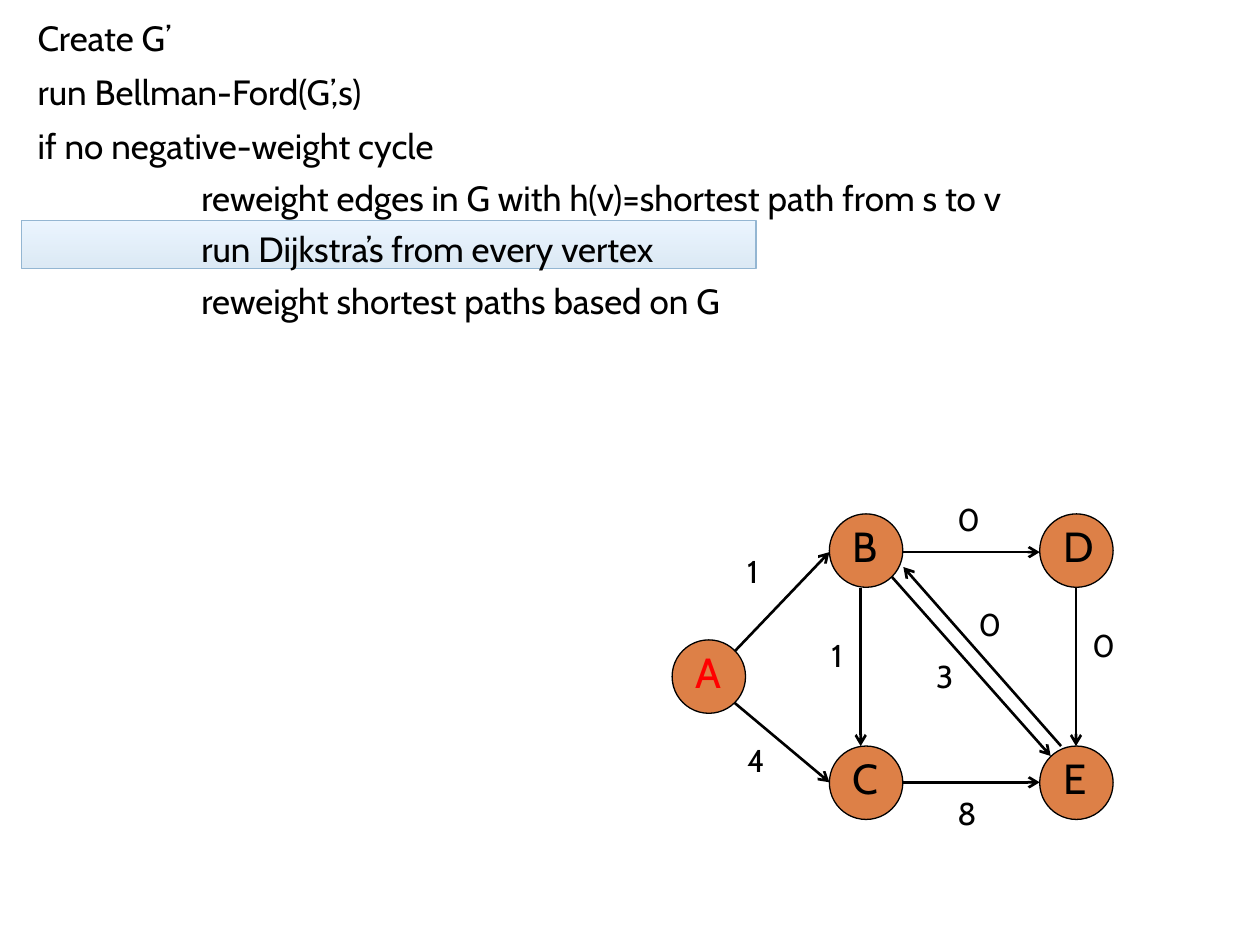
from lxml import etree
from pptx import Presentation
from pptx import util as u
from pptx.dml.color import RGBColor
from pptx.enum import shapes, text
from pptx.oxml import ns

BLACK = RGBColor(0x00, 0x00, 0x00)
RED = RGBColor(0xFF, 0x00, 0x00)
ORANGE = RGBColor(0xDD, 0x80, 0x47)
BLUE = RGBColor(0x8B, 0xB7, 0xDB)
PALE_BLUE = RGBColor(0xBD, 0xDF, 0xFF)
BORDER_BLUE = RGBColor(0x94, 0xB6, 0xD2)

FONT = "Cabin"
NODE_SIZE = 1.48
LEFT, MIDDLE, RIGHT = 0, 3.17, 7.41
UPPER, CENTRE, LOWER = 0.4, 2.94, 5.08
UPPER_AXIS, LOWER_AXIS = 1.17, 5.81

NODES = [
    ("A", LEFT, CENTRE, RED),
    ("B", MIDDLE, UPPER, BLACK),
    ("C", MIDDLE, LOWER, BLACK),
    ("E", RIGHT, LOWER, BLACK),
    ("D", RIGHT, UPPER, BLACK),
]
EDGES = [
    (1.26, 3.17, MIDDLE, UPPER_AXIS, "1", 1.26, 1.04),
    (1.26, 4.21, MIDDLE, LOWER_AXIS, "4", 1.26, 4.85),
    (4.66, UPPER_AXIS, RIGHT, UPPER_AXIS, "0", 5.5, 0),
    (8.14, 1.9, 8.14, LOWER, "0", 8.22, 2.54),
    (7.84, LOWER, 4.66, 1.47, "0", 5.93, 2.11),
    (4.43, 1.67, 7.63, 5.28, "3", 5.07, 3.17),
    (4.66, LOWER_AXIS, RIGHT, LOWER_AXIS, "8", 5.5, 5.92),
    (3.8, 1.9, 3.8, LOWER, "1", 2.96, 2.74),
]
STEPS = [
    ("Create G’", 0),
    ("run Bellman-Ford(G’,s)", 0),
    ("if no negative-weight cycle", 0),
    ("reweight edges in G with h(v)=shortest path from s to v", 1),
    ("run Dijkstra’s from every vertex", 1),
    ("reweight shortest paths based on G", 1),
]


def add_span(para, wording, size=18, color=BLACK):
    span = para.add_run()
    span.text = wording
    span.font.name = FONT
    span.font.size = u.Pt(size)
    span.font.color.rgb = color


def add_text(parent, left, top, width, height, wrap=True):
    box = parent.add_textbox(u.Cm(left), u.Cm(top), u.Cm(width), u.Cm(height))
    box.text_frame.word_wrap = wrap
    box.text_frame.vertical_anchor = text.MSO_ANCHOR.TOP
    return box.text_frame


def add_node(page, left, top, name, color):
    group = page.shapes.add_group_shape()
    circle = group.shapes.add_shape(
        shapes.MSO_SHAPE.OVAL, u.Cm(left), u.Cm(top), u.Cm(NODE_SIZE), u.Cm(NODE_SIZE))
    circle.shadow.inherit = False
    circle.fill.solid()
    circle.fill.fore_color.rgb = ORANGE
    circle.line.color.rgb = BLACK
    circle.line.width = u.Pt(0.75)
    frame = add_text(group.shapes, left + 0.22, top, 1.27, 1.28)
    add_span(frame.paragraphs[0], name, size=24, color=color)


def add_arrow(page, left, top, right, bottom):
    arrow = page.shapes.add_connector(
        shapes.MSO_CONNECTOR.STRAIGHT, u.Cm(left), u.Cm(top), u.Cm(right), u.Cm(bottom))
    arrow.line.color.rgb = BLACK
    arrow.line.width = u.Pt(1.5)
    etree.SubElement(arrow.line._get_or_add_ln(), ns.qn("a:tailEnd"), type="arrow")
    etree.SubElement(arrow._element.spPr, ns.qn("a:effectLst"))


def add_graph(page, left, top):
    for name, x, y, color in NODES:
        add_node(page, left + x, top + y, name, color)
    for x1, y1, x2, y2, weight, label_x, label_y in EDGES:
        add_arrow(page, left + x1, top + y1, left + x2, top + y2)
        frame = add_text(page.shapes, left + label_x, top + label_y, 0.86, 1.02, wrap=False)
        add_span(frame.paragraphs[0], weight)


def add_highlight(page, left, top, width, height):
    bar = page.shapes.add_shape(
        shapes.MSO_SHAPE.RECTANGLE, u.Cm(left), u.Cm(top), u.Cm(width), u.Cm(height))
    bar.shadow.inherit = False
    bar.fill.gradient()
    bar.fill.gradient_angle = 90
    for stop, color in zip(bar.fill.gradient_stops, (BLUE, PALE_BLUE)):
        stop.color.rgb = color
    for color in list(bar._element.spPr.iter(ns.qn("a:srgbClr"))):
        etree.SubElement(color, ns.qn("a:alpha"), val="30000")
    bar.line.color.rgb = BORDER_BLUE
    bar.line.width = u.Pt(0.79)


def add_algorithm(page, left, top, width, height):
    add_highlight(page, left - 0.08, top + 4.25, 14.81, 0.97)
    frame = add_text(page.shapes, left, top, width, height)
    for index, (wording, level) in enumerate(STEPS):
        para = frame.add_paragraph() if index else frame.paragraphs[0]
        para.level = level
        para.space_before = u.Pt(5.5 if level else 7)
        properties = para._p.get_or_add_pPr()
        properties.set("marL", str(u.Cm(3.3 * level)))
        properties.set("indent", "0")
        add_span(para, wording, size=20)


def main():
    deck = Presentation()
    deck.slide_width = u.Cm(25.4)
    deck.slide_height = u.Cm(19.05)
    page = deck.slides.add_slide(deck.slide_layouts[6])
    add_graph(page, 13.55, 9.96)
    add_algorithm(page, 0.51, 0.2, 21.39, 6.55)
    deck.save("out.pptx")


if __name__ == "__main__":
    main()
